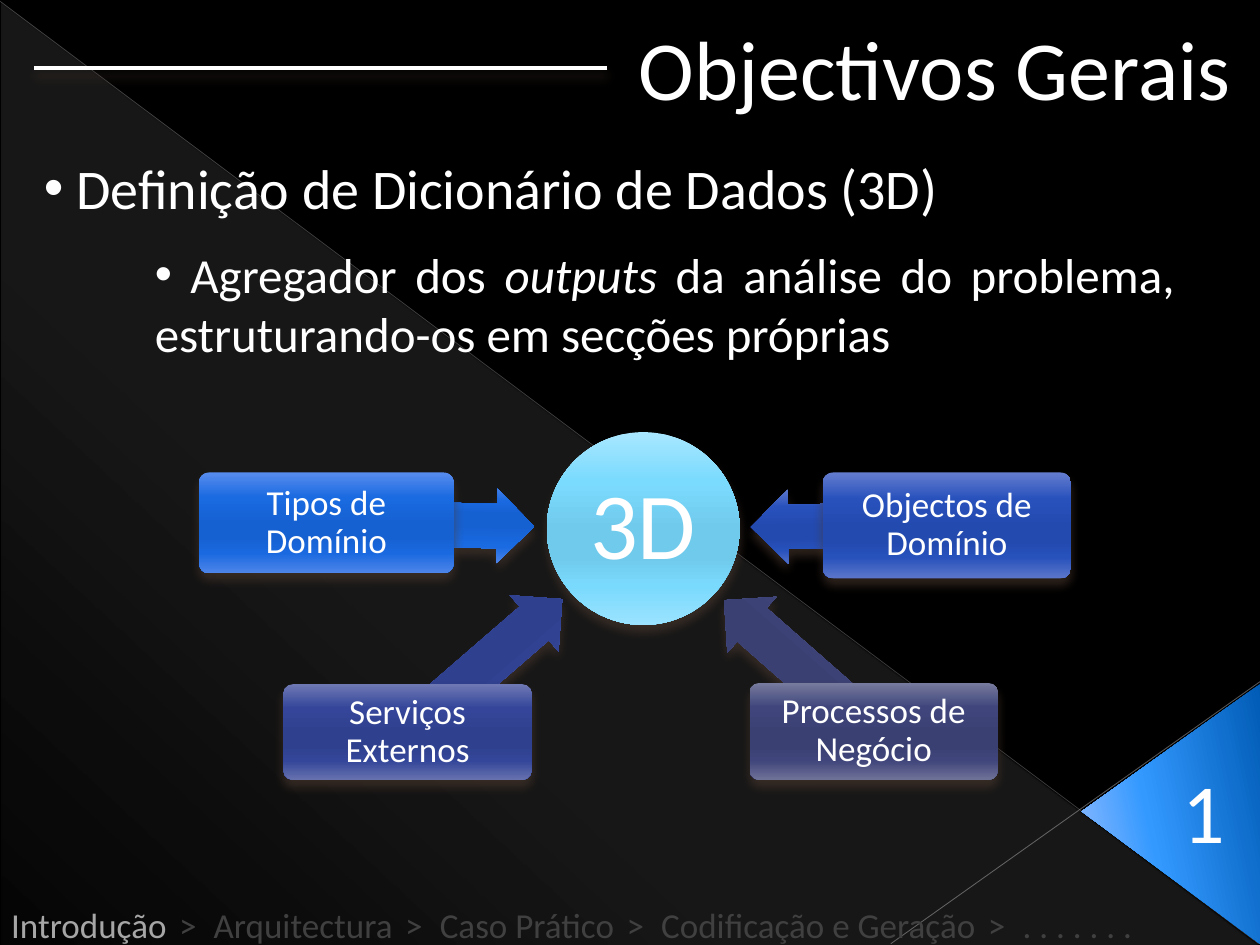
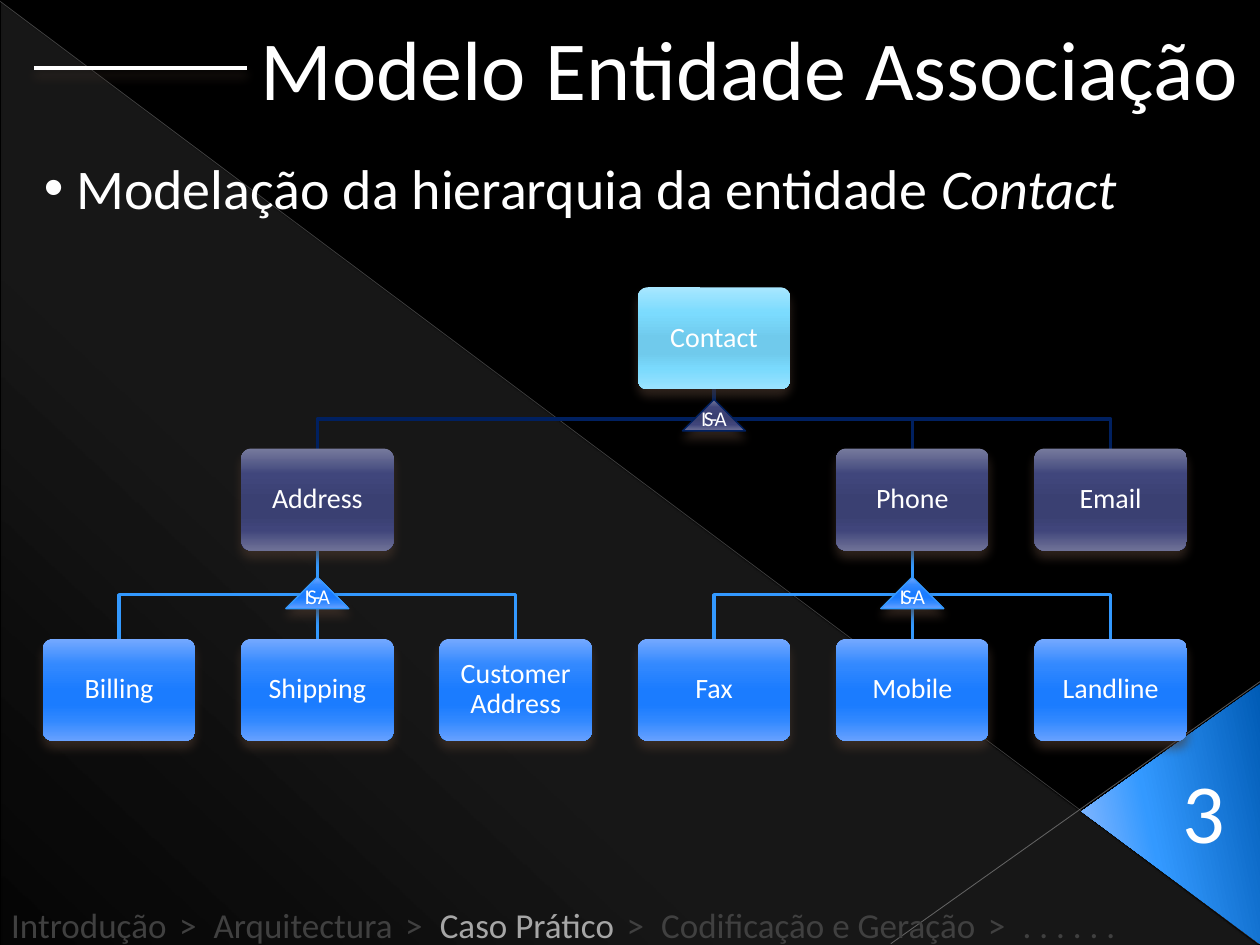
"""Builds two dark slides: a hub diagram and an entity hierarchy."""
from lxml.etree import SubElement
from pptx import Presentation
from pptx.dml.color import RGBColor
from pptx.enum.shapes import MSO_CONNECTOR, MSO_SHAPE
from pptx.enum.text import MSO_ANCHOR, MSO_AUTO_SIZE, PP_ALIGN
from pptx.oxml.ns import qn
from pptx.util import Inches, Pt

FONT = "Calibri"
WHITE, BLACK, ACTIVE, MUTED = "FFFFFF", "000000", "A6A6A6", "404040"
SHADOW, NAVY, SKY = "4E3B30", "002060", "3399FF"
GLOSS_STOPS = (0, 25, 50, 65, 80, 100)
CYAN = "A8E7FF 7BDBFE 70CAEC 70CAEC 7ADAFD 9BE3FF"
AZURE = "578CEE 1A6AE1 1661D2 1661D2 1A69E0 4E85E9"
COBALT = "647DCF 2851BC 234AAF 234AAF 2751BB 5B76CA"
INDIGO = "6E79B4 35469A 2F408F 2F408F 344699 6671AE"
SLATE = "777B9D 40467C 3A4072 3A4072 40457B 6F7297"
BRIGHT = "75A9FF 3389FF 1B7CFF 1B7CFF 3188FF 67A1FF"
SECTIONS = ("Introdução", "Arquitectura", "Caso Prático", "Codificação e Geração")


def color(code):
    """Turn a hex string into a colour."""
    return RGBColor.from_string(code)


def inches(*lengths):
    """Turn plain numbers into lengths."""
    return [Inches(length) for length in lengths]


def gloss(codes):
    """Pair the six colours of a glossy fill with their stops."""
    return [(stop, code, 100) for stop, code in zip(GLOSS_STOPS, codes.split())]


class SlideBuilder:
    """Holds the deck's style and the current page."""

    def __init__(self):
        """Open an empty 4:3 deck."""
        self.deck = Presentation()
        self.deck.slide_width, self.deck.slide_height = inches(10, 7.5)
        self.page = None

    def start(self, title, left, width, rule_end, number):
        """Add a page with its backdrop, title, rule and number."""
        self.page = self.deck.slides.add_slide(self.deck.slide_layouts[5])
        self.page.background.fill.solid()
        self.page.background.fill.fore_color.rgb = color(BLACK)
        self.backdrop()
        heading = self.page.shapes.title
        heading.element.getparent().append(heading.element)
        heading.left, heading.top, heading.width, heading.height = inches(left, 0.08, width, 0.91)
        self.fit(heading.text_frame, wrap=False)
        self.add_spans(heading.text_frame, [(title, {})], 48)
        self.cast_shadow(self.line((rule_end, 0.54), (0.27, 0.54), WHITE, 2))
        self.text((9.29, 5.98, 0.54, 0.91), [(number, {})], 48, wrap=False)

    def backdrop(self):
        """Draw the translucent wedge, thin diagonals and blue corner."""
        self.shape(MSO_SHAPE.RIGHT_TRIANGLE, (0.01, 0.02, 9.98, 7.48),
                   [(0, WHITE, 10), (70, WHITE, 8), (100, WHITE, 1)], angle=133, shadow=False)
        self.line((0, 0.01), (9.99, 7.49), "B4B4B4", 0.39, 35)
        self.line((10, 5.41), (7.07, 7.49), "BDBDBD", 0.47, 45)
        self.shape(MSO_SHAPE.ISOSCELES_TRIANGLE, (8.26, 5.75, 2.07, 1.42),
                   [(0, "005BB5", 100), (60, SKY, 100), (100, "9BBFFF", 100)],
                   angle=258, rotation=270, adjust=(0.51,), shadow=False)

    def shape(self, kind, place, stops, angle=90, rotation=0, adjust=(), outline=None, shadow=True):
        """Add a preset shape with a gradient fill."""
        shape = self.page.shapes.add_shape(kind, *inches(*place))
        shape.rotation = rotation
        for index, value in enumerate(adjust):
            shape.adjustments[index] = value
        if outline:
            shape.line.color.rgb = color(outline)
            shape.line.width = Pt(0.79)
        else:
            shape.line.fill.background()
        self.gradient(shape, stops, angle)
        shape.shadow.inherit = False
        if shadow:
            self.cast_shadow(shape)
        return shape

    def gradient(self, shape, stops, angle):
        """Give a shape a linear gradient of (stop, colour, opacity)."""
        shape.fill.background()
        properties = shape.element.spPr
        blank = properties.find(qn("a:noFill"))
        fill = SubElement(properties, qn("a:gradFill"), rotWithShape="1")
        properties.replace(blank, fill)
        stop_list = SubElement(fill, qn("a:gsLst"))
        for position, code, opacity in stops:
            stop = SubElement(stop_list, qn("a:gs"), pos=str(position * 1000))
            self.tint(SubElement(stop, qn("a:srgbClr"), val=code), opacity)
        SubElement(fill, qn("a:lin"), ang=str(angle * 60000), scaled="0")

    def tint(self, element, opacity):
        """Set the opacity of a colour element in percent."""
        if opacity < 100:
            SubElement(element, qn("a:alpha"), val=str(opacity * 1000))

    def cast_shadow(self, shape):
        """Give a shape or line the soft brown shadow below it."""
        effects = shape.element.spPr.find(qn("a:effectLst"))
        outer = SubElement(effects, qn("a:outerShdw"), blurRad=str(int(Pt(6))),
                           dist=str(int(Pt(4))), dir="5400000", rotWithShape="0")
        self.tint(SubElement(outer, qn("a:srgbClr"), val=SHADOW), 60)

    def line(self, start, end, code, width, opacity=100):
        """Add a straight line."""
        line = self.page.shapes.add_connector(MSO_CONNECTOR.STRAIGHT, *inches(*start, *end))
        line.line.color.rgb = color(code)
        line.line.width = Pt(width)
        properties = line.element.spPr
        self.tint(next(properties.iter(qn("a:srgbClr"))), opacity)
        SubElement(properties, qn("a:effectLst"))
        return line

    def elbow(self, start, end, middle, code):
        """Add an open outline that goes down, across and down."""
        points = [(start[0], middle), (end[0], middle), end]
        outline = self.page.shapes.build_freeform(*inches(*start))
        outline.add_line_segments([inches(*point) for point in points], close=False)
        branch = outline.convert_to_shape()
        branch.fill.background()
        branch.line.color.rgb = color(code)
        branch.line.width = Pt(2)
        branch.shadow.inherit = False

    def fit(self, frame, wrap):
        """Anchor text at the top of a frame that grows with it."""
        frame.word_wrap = wrap
        frame.auto_size = MSO_AUTO_SIZE.SHAPE_TO_FIT_TEXT
        frame.vertical_anchor = MSO_ANCHOR.TOP

    def add_spans(self, frame, spans, size, align=PP_ALIGN.LEFT):
        """Fill the first paragraph with (text, format) spans."""
        para = frame.paragraphs[0]
        para.alignment = align
        for text, look in spans:
            span = para.add_run()
            span.text = text
            span.font.name = FONT
            span.font.size = Pt(size)
            span.font.italic = look.get("italic")
            span.font.color.rgb = color(look.get("color", WHITE))
            if "spacing" in look:
                span._r.get_or_add_rPr().set("spc", str(look["spacing"]))
        return para

    def text(self, place, spans, size, align=PP_ALIGN.LEFT, wrap=True):
        """Add a text box."""
        box = self.page.shapes.add_textbox(*inches(*place))
        self.fit(box.text_frame, wrap)
        return self.add_spans(box.text_frame, spans, size, align)

    def bullet(self, place, spans, size):
        """Add a justified bullet without a hanging indent."""
        properties = self.text(place, spans, size, PP_ALIGN.JUSTIFY)._p.get_or_add_pPr()
        properties.set("marL", "0")
        properties.set("indent", "0")
        SubElement(properties, qn("a:buFont"), typeface="Arial")
        SubElement(properties, qn("a:buChar"), char="•")

    def label(self, shape, text, size, inset, anchor=MSO_ANCHOR.MIDDLE, wrap=True, **look):
        """Put centred text inside a shape."""
        frame = shape.text_frame
        frame.margin_left = frame.margin_right = Inches(inset)
        frame.margin_top = frame.margin_bottom = Inches(inset)
        frame.vertical_anchor = anchor
        frame.word_wrap = wrap
        self.add_spans(frame, [(text, look)], size, PP_ALIGN.CENTER).line_spacing = 0.9

    def card(self, place, codes, text, size, inset):
        """Add a glossy rounded box with a label."""
        card = self.shape(MSO_SHAPE.ROUNDED_RECTANGLE, place, gloss(codes), adjust=(0.1,))
        self.label(card, text, size, inset)

    def breadcrumb(self, current, dots):
        """Add the section trail with the current section lighter."""
        spans = []
        for section in SECTIONS:
            spans.append((section, {"color": ACTIVE if section == current else MUTED}))
            spans.append((" > ", {"color": MUTED, "spacing": 260}))
        spans.append((" ".join("." * dots), {"color": MUTED}))
        self.text((-0.01, 7.12, 9.92, 0.44), spans, 20, PP_ALIGN.JUSTIFY)


def build_goals(builder):
    """Build the hub diagram page."""
    builder.start("Objectivos Gerais", 4.97, 4.95, 4.82, "1")
    builder.bullet((0.25, 1.17, 9.58, 0.64), [(" Definição de Dicionário de Dados (3D)", {})], 32)
    hub = builder.shape(MSO_SHAPE.OVAL, (4.34, 3.43, 1.53, 1.53), gloss(CYAN))
    builder.label(hub, "3D", 54, 0.04)
    inputs = [
        ("Tipos de Domínio", AZURE, (2.59, 3.87, 1.65, 0.59), 181, (1.58, 3.75, 2.02, 0.8)),
        ("Objectos de Domínio", COBALT, (5.96, 3.88, 1.55, 0.59), 359.4, (6.53, 3.75, 1.97, 0.84)),
        ("Serviços Externos", INDIGO, (3.04, 4.99, 1.62, 0.59), 139.1, (2.25, 5.43, 1.97, 0.76)),
        ("Processos de Negócio", SLATE, (5.55, 4.99, 1.58, 0.59), 41.3, (5.95, 5.42, 1.97, 0.77)),
    ]
    for text, codes, arrow, rotation, place in inputs:
        builder.shape(MSO_SHAPE.LEFT_ARROW, arrow, gloss(codes), rotation=rotation, adjust=(0.6, 0.5))
        builder.card(place, codes, text, 20, 0.04)
    builder.bullet((1.13, 1.89, 8.29, 1.04), [
        (" Agregador dos ", {}), ("outputs ", {"italic": True}),
        ("da análise do problema, estruturando-os em secções próprias", {})], 28)
    builder.breadcrumb("Introdução", 7)


def build_hierarchy(builder):
    """Build the entity hierarchy page."""
    builder.start("Modelo Entidade Associação", 1.97, 8.05, 1.96, "3")
    width, height, pitch = 1.21, 0.81, (8.21 - 0.34) / 5
    tops = (2.28, 3.56, 5.07)
    lefts = [0.34 + pitch * column for column in range(6)]
    centers = [left + width / 2 for left in lefts]
    branches = [
        (0, 3, (1, 5, 4), NAVY, SLATE, 3.17),
        (1, 1, (0, 2, 1), SKY, BRIGHT, 4.58),
        (1, 4, (3, 5, 4), SKY, BRIGHT, 4.58),
    ]
    for row, parent, children, code, _, _ in branches:
        bottom, below = tops[row] + height, tops[row + 1]
        for child in children:
            start, end = (centers[parent], bottom), (centers[child], below)
            if child == parent:
                builder.line(start, end, code, 2)
            else:
                builder.elbow(start, end, (bottom + below) / 2, code)
    levels = [
        (CYAN, {3: "Contact"}),
        (SLATE, {1: "Address", 4: "Phone", 5: "Email"}),
        (BRIGHT, dict(enumerate(
            ("Billing", "Shipping", "Customer Address", "Fax", "Mobile", "Landline")))),
    ]
    for top, (codes, entities) in zip(tops, levels):
        for column, entity in entities.items():
            builder.card((lefts[column], top, width, height), codes, entity, 16, 0.07)
    builder.bullet((0.25, 1.17, 9.58, 0.64), [
        (" Modelação da hierarquia da entidade ", {}), ("Contact", {"italic": True})], 32)
    for _, parent, _, code, codes, top in branches:
        marker = builder.shape(MSO_SHAPE.ISOSCELES_TRIANGLE, (centers[parent] - 0.25, top, 0.5, 0.25),
                               gloss(codes), outline=code)
        builder.label(marker, "IS-A", 12, 0, MSO_ANCHOR.BOTTOM, wrap=False, spacing=-150)
    builder.breadcrumb("Caso Prático", 6)


builder = SlideBuilder()
build_goals(builder)
build_hierarchy(builder)
builder.deck.save("out.pptx")
